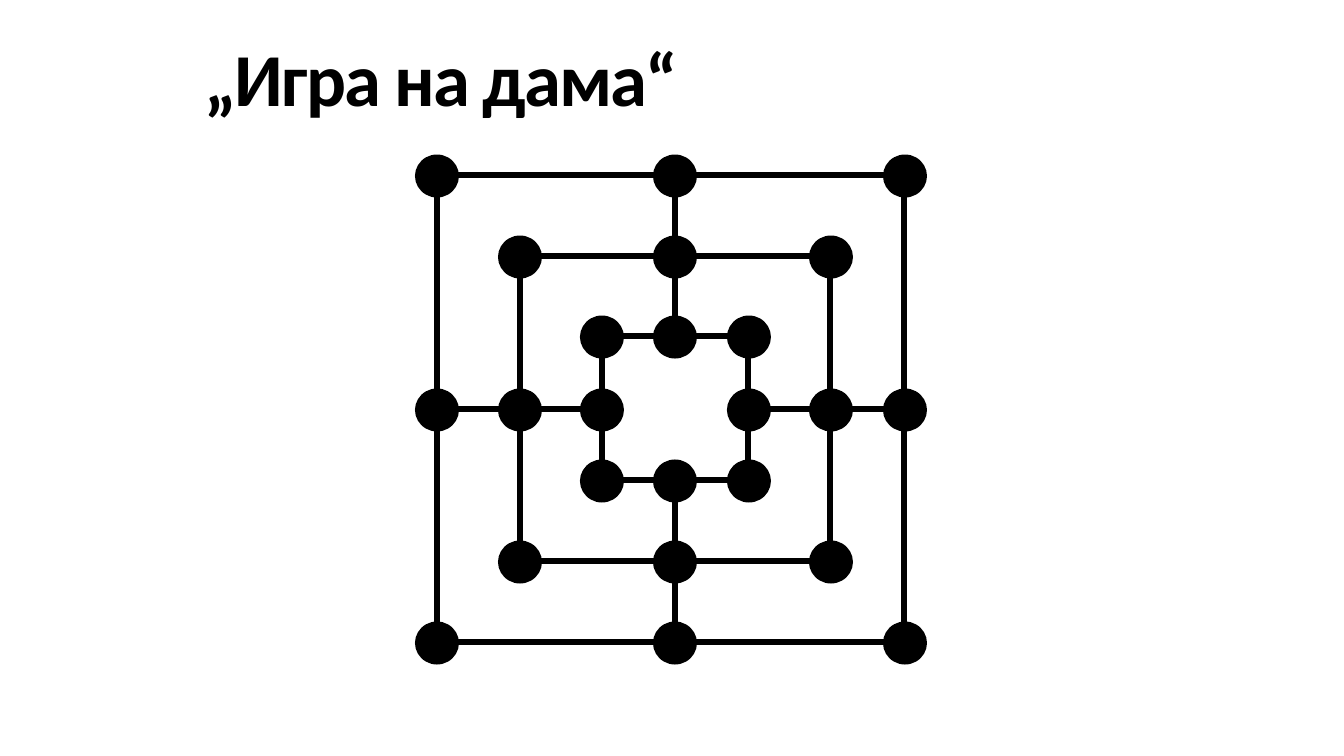
from dataclasses import dataclass

import pptx
import pptx.dml.color
import pptx.enum.shapes
import pptx.enum.text
import pptx.oxml.ns
import pptx.util
from lxml import etree

EMU_PER_PX = 914400 / 134.4
COLORS = {"ink": "000000", "paper": "FFFFFF"}
FONT = "Calibri"
LINE_PT = 3
DOT_W, DOT_H = 44, 43

# Board grid: seven columns and rows, the middle one shared by all rings.
COLS = (437, 520, 602, 675, 749, 831, 905)
ROWS = (176, 257, 337, 410, 481, 562, 643)
MID = 3


@dataclass(frozen=True)
class Ring:
    """A square of the board, by its first and last grid index."""
    first: int
    last: int


@dataclass(frozen=True)
class Spoke:
    """A line between two grid points, given as (column, row)."""
    start: tuple[int, int]
    end: tuple[int, int]


RINGS = [Ring(i, 6 - i) for i in range(3)]
SPOKES = [
    Spoke((MID, 0), (MID, 2)),
    Spoke((MID, 4), (MID, 6)),
    Spoke((0, MID), (2, MID)),
    Spoke((4, MID), (6, MID)),
]


def px(n: float) -> pptx.util.Emu:
    """Turn pixels into EMU."""
    return pptx.util.Emu(round(n * EMU_PER_PX))


def rgb(name: str) -> pptx.dml.color.RGBColor:
    """Look up a named colour."""
    return pptx.dml.color.RGBColor.from_string(COLORS[name])


def set_line(shape) -> None:
    """Give a shape or connector the board line."""
    shape.line.color.rgb = rgb("ink")
    shape.line.width = pptx.util.Pt(LINE_PT)


def add_ring(shapes, ring: Ring) -> None:
    """Draw the outline of one square."""
    x, y = COLS[ring.first], ROWS[ring.first] - 1
    w, h = COLS[ring.last] - 1 - x, ROWS[ring.last] - 1 - y
    sp = shapes.add_shape(pptx.enum.shapes.MSO_SHAPE.RECTANGLE,
                          px(x), px(y), px(w), px(h))
    sp.shadow.inherit = False
    sp.fill.background()
    set_line(sp)


def add_spoke(shapes, spoke: Spoke) -> None:
    """Draw one line that joins the squares."""
    (c1, r1), (c2, r2) = spoke.start, spoke.end
    cn = shapes.add_connector(pptx.enum.shapes.MSO_CONNECTOR.STRAIGHT,
                              px(COLS[c1]), px(ROWS[r1] - 1),
                              px(COLS[c2]), px(ROWS[r2] - 1))
    set_line(cn)
    etree.SubElement(cn._element.spPr, pptx.oxml.ns.qn("a:effectLst"))


def add_dot(shapes, col: int, row: int) -> None:
    """Draw one point of the board."""
    sp = shapes.add_shape(pptx.enum.shapes.MSO_SHAPE.OVAL,
                          px(COLS[col] - DOT_W / 2), px(ROWS[row] - DOT_H / 2),
                          px(DOT_W), px(DOT_H))
    sp.shadow.inherit = False
    sp.fill.solid()
    sp.fill.fore_color.rgb = rgb("ink")
    sp.line.fill.background()


def add_title(shapes, text: str) -> None:
    """Write the slide title."""
    tf = shapes.add_textbox(px(191), px(20), px(1153), px(114)).text_frame
    tf.word_wrap = True
    tf.vertical_anchor = pptx.enum.text.MSO_ANCHOR.MIDDLE
    r = tf.paragraphs[0].add_run()
    r.text = text
    r.font.name = FONT
    r.font.size = pptx.util.Pt(40)
    r.font.bold = True
    r.font.color.rgb = rgb("ink")
    r._r.get_or_add_rPr().set("spc", "-100")


def add_board(shapes) -> None:
    """Draw the board as one group: squares, spokes, then points."""
    board = shapes.add_group_shape().shapes
    for ring in RINGS:
        add_ring(board, ring)
    for spoke in SPOKES:
        add_spoke(board, spoke)
    for ring in RINGS:
        stops = (ring.first, MID, ring.last)
        for col in stops:
            for row in stops:
                if (col, row) != (MID, MID):
                    add_dot(board, col, row)


prs = pptx.Presentation()
prs.slide_width, prs.slide_height = px(1344), px(756)
s = prs.slides.add_slide(prs.slide_layouts[6])
s.background.fill.solid()
s.background.fill.fore_color.rgb = rgb("paper")
add_title(s.shapes, "„Игра на дама“")
add_board(s.shapes)
prs.save("out.pptx")
